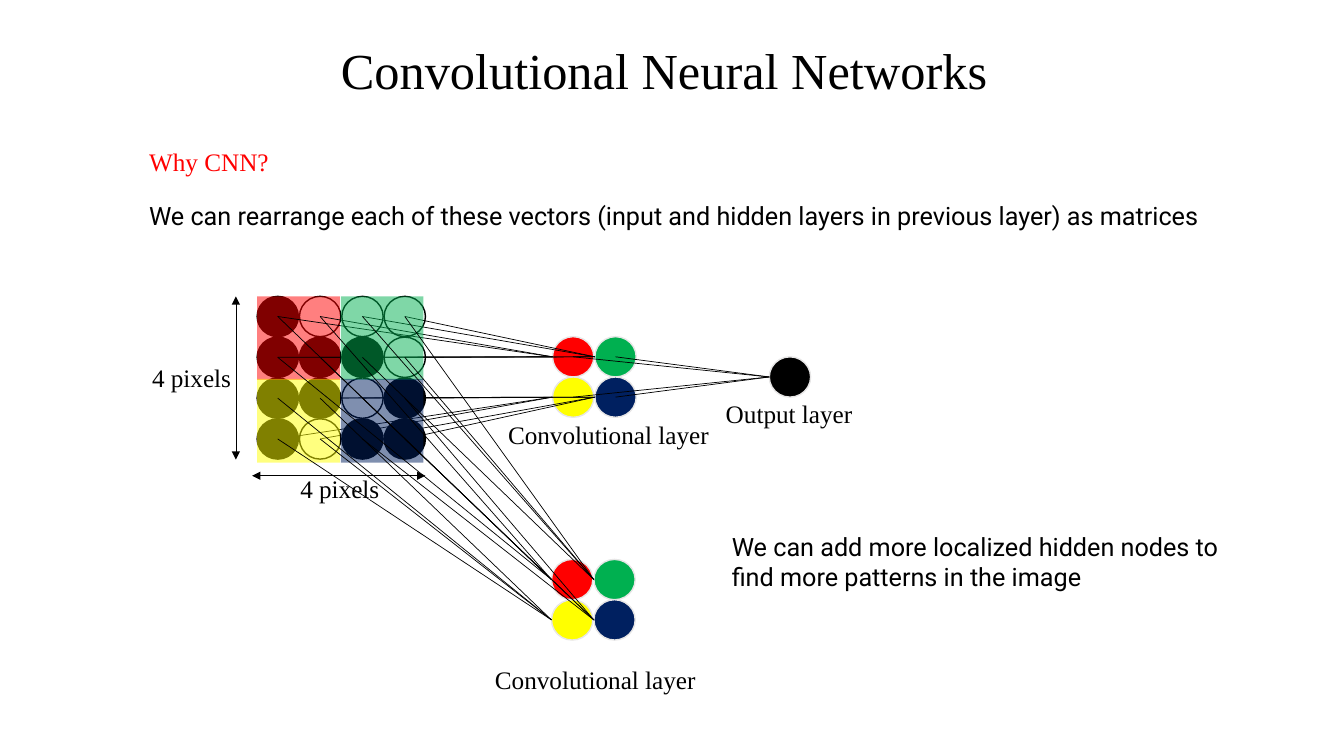
from itertools import product

from lxml import etree
from pptx import Presentation
from pptx.dml.color import RGBColor
from pptx.enum.shapes import MSO_CONNECTOR, MSO_SHAPE
from pptx.enum.text import MSO_ANCHOR, MSO_AUTO_SIZE, PP_ALIGN
from pptx.oxml.ns import qn
from pptx.util import Inches, Pt

ELLIPSE = MSO_SHAPE.OVAL
RECTANGLE = MSO_SHAPE.RECTANGLE
STRAIGHT = MSO_CONNECTOR.STRAIGHT
MIDDLE = MSO_ANCHOR.MIDDLE
LEFT = PP_ALIGN.LEFT
NO_AUTOFIT = MSO_AUTO_SIZE.NONE
GROW = MSO_AUTO_SIZE.SHAPE_TO_FIT_TEXT

SERIF = "Times New Roman"
SANS = "Roboto"
COLORS = {
    "black": "000000",
    "white": "FFFFFF",
    "red": "FF0000",
    "green": "00B050",
    "yellow": "FFFF00",
    "navy": "002060",
    "rim": "E7E6E6",
}
QUADRANTS = ["red", "green", "yellow", "navy"]
PIXELS = ["1000", "1110", "1101", "1011"]
NODE_WIDTH, NODE_HEIGHT = 0.41, 0.4
PIXEL_STEP_X, PIXEL_STEP_Y = 0.42, 0.405
CONVOLUTION_STEP_X, CONVOLUTION_STEP_Y = 0.42, 0.4


def color(name):
    return RGBColor.from_string(COLORS[name])


def style_text(text_frame, text, size, font_name, color_name):
    text_frame.text = text
    paragraph = text_frame.paragraphs[0]
    paragraph.alignment = LEFT
    paragraph.font.size = Pt(size)
    paragraph.font.name = font_name
    paragraph.font.color.rgb = color(color_name)
    return paragraph


def add_title(slide, text, left, top, width, height):
    title = slide.shapes.title
    title.left, title.top = Inches(left), Inches(top)
    title.width, title.height = Inches(width), Inches(height)
    title.text_frame.auto_size = NO_AUTOFIT
    title.text_frame.vertical_anchor = MIDDLE
    paragraph = style_text(title.text_frame, text, 36, SERIF, "black")
    paragraph.line_spacing = 0.9


def add_label(slide, text, left, top, width, height=0.4,
              font_name=SERIF, color_name="black", wrap=False):
    box = slide.shapes.add_textbox(
        Inches(left), Inches(top), Inches(width), Inches(height))
    box.text_frame.word_wrap = wrap
    box.text_frame.auto_size = GROW
    style_text(box.text_frame, text, 18, font_name, color_name)


def add_node(slide, left, top, fill_name, line_name="rim"):
    node = slide.shapes.add_shape(
        ELLIPSE, Inches(left), Inches(top), Inches(NODE_WIDTH), Inches(NODE_HEIGHT))
    node.shadow.inherit = False
    node.fill.solid()
    node.fill.fore_color.rgb = color(fill_name)
    node.line.color.rgb = color(line_name)
    node.line.width = Pt(1)


def add_line(slide, start, end, arrows=False):
    connector = slide.shapes.add_connector(
        STRAIGHT, *(Inches(value) for value in (*start, *end)))
    connector.line.color.rgb = color("black")
    connector.line.width = Pt(0.5)
    properties = connector._element.spPr
    etree.SubElement(properties, qn("a:effectLst"))
    if arrows:
        line = properties.find(qn("a:ln"))
        for tag in ("a:headEnd", "a:tailEnd"):
            etree.SubElement(line, qn(tag), type="triangle")


def add_pixel_grid(slide, left, top):
    for row, column in product(range(4), repeat=2):
        fill_name = "black" if PIXELS[row][column] == "1" else "white"
        add_node(slide, left + column * PIXEL_STEP_X, top + row * PIXEL_STEP_Y,
                 fill_name, "black")


def add_pixel_dimensions(slide, left, top):
    add_line(slide, (left - 0.21, top), (left - 0.21, top + 1.62), arrows=True)
    add_line(slide, (left + 1.67, top + 1.78), (left - 0.05, top + 1.78), arrows=True)
    add_label(slide, "4 pixels", left - 1.14, top + 0.61, 1, wrap=True)
    add_label(slide, "4 pixels", left + 0.33, top + 1.71, 1, wrap=True)


def add_quadrant(slide, index, left, top):
    row, column = divmod(index, 2)
    quadrant = slide.shapes.add_shape(
        RECTANGLE, Inches(left + column * 0.83), Inches(top + row * 0.82),
        Inches(0.82), Inches(0.83))
    quadrant.shadow.inherit = False
    quadrant.line.fill.background()
    quadrant.fill.solid()
    quadrant.fill.fore_color.rgb = color(QUADRANTS[index])
    fill_color = quadrant._element.spPr.find(qn("a:solidFill"))[0]
    etree.SubElement(fill_color, qn("a:alpha"), val="50000")


def add_convolution(slide, left, top, grid_left, grid_top):
    for index, fill_name in enumerate(QUADRANTS):
        row, column = divmod(index, 2)
        add_node(slide, left + column * CONVOLUTION_STEP_X,
                 top + row * CONVOLUTION_STEP_Y, fill_name)
    for row, column in product(range(4), repeat=2):
        pixel = (grid_left + column * PIXEL_STEP_X + NODE_WIDTH / 2,
                 grid_top + row * PIXEL_STEP_Y + NODE_HEIGHT / 2)
        node_side = (left + column // 2 * CONVOLUTION_STEP_X,
                     top + row // 2 * CONVOLUTION_STEP_Y + NODE_HEIGHT / 2)
        add_line(slide, pixel, node_side)


def add_output(slide, left, top, layer_left, layer_top):
    add_node(slide, left, top, "black")
    for row, column in product(range(2), repeat=2):
        node_center = (layer_left + column * CONVOLUTION_STEP_X + NODE_WIDTH / 2,
                       layer_top + row * CONVOLUTION_STEP_Y + NODE_HEIGHT / 2)
        add_line(slide, node_center, (left, top + NODE_HEIGHT / 2))
    add_label(slide, "Output layer", left - 0.53, top + 0.36, 1.47)


def add_network(slide, left, top):
    first_layer = (left + 2.93, top + 0.4)
    second_layer = (left + 2.92, top + 2.61)
    add_pixel_grid(slide, left, top)
    add_pixel_dimensions(slide, left, top)
    add_quadrant(slide, 0, left, top)
    add_convolution(slide, *first_layer, left, top)
    for index in range(1, 4):
        add_quadrant(slide, index, left, top)
    add_output(slide, left + 5.08, top + 0.6, *first_layer)
    add_convolution(slide, *second_layer, left, top)
    add_label(slide, "Convolutional layer", left + 2.39, top + 1.17, 2.21)
    add_label(slide, "Convolutional layer", left + 2.26, top + 3.6, 2.21)


def main():
    presentation = Presentation()
    presentation.slide_width = Inches(13.33)
    presentation.slide_height = Inches(7.5)
    slide = presentation.slides.add_slide(presentation.slide_layouts[5])
    add_title(slide, "Convolutional Neural Networks", 3.28, 0.31, 6.78, 0.83)
    add_label(slide, "Why CNN?", 1.38, 1.4, 1.4, color_name="red")
    add_label(slide, "We can rearrange each of these vectors (input and hidden "
              "layers in previous layer) as matrices", 1.38, 1.94, 10.97, font_name=SANS)
    add_network(slide, 2.55, 2.94)
    add_label(slide, "We can add more localized hidden nodes to find more patterns "
              "in the image", 7.16, 5.22, 5.4, 0.71, font_name=SANS, wrap=True)
    presentation.save("out.pptx")


if __name__ == "__main__":
    main()
